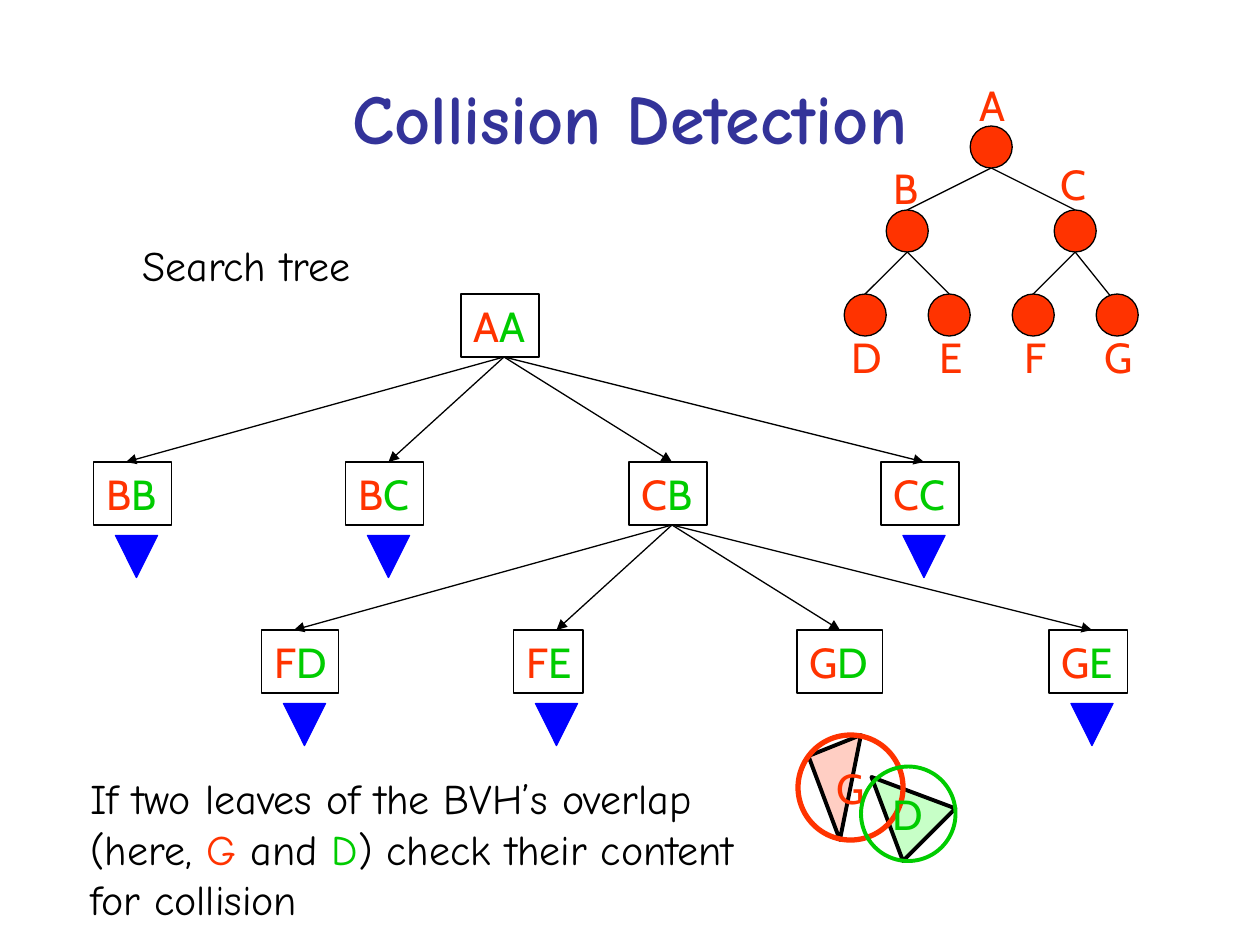
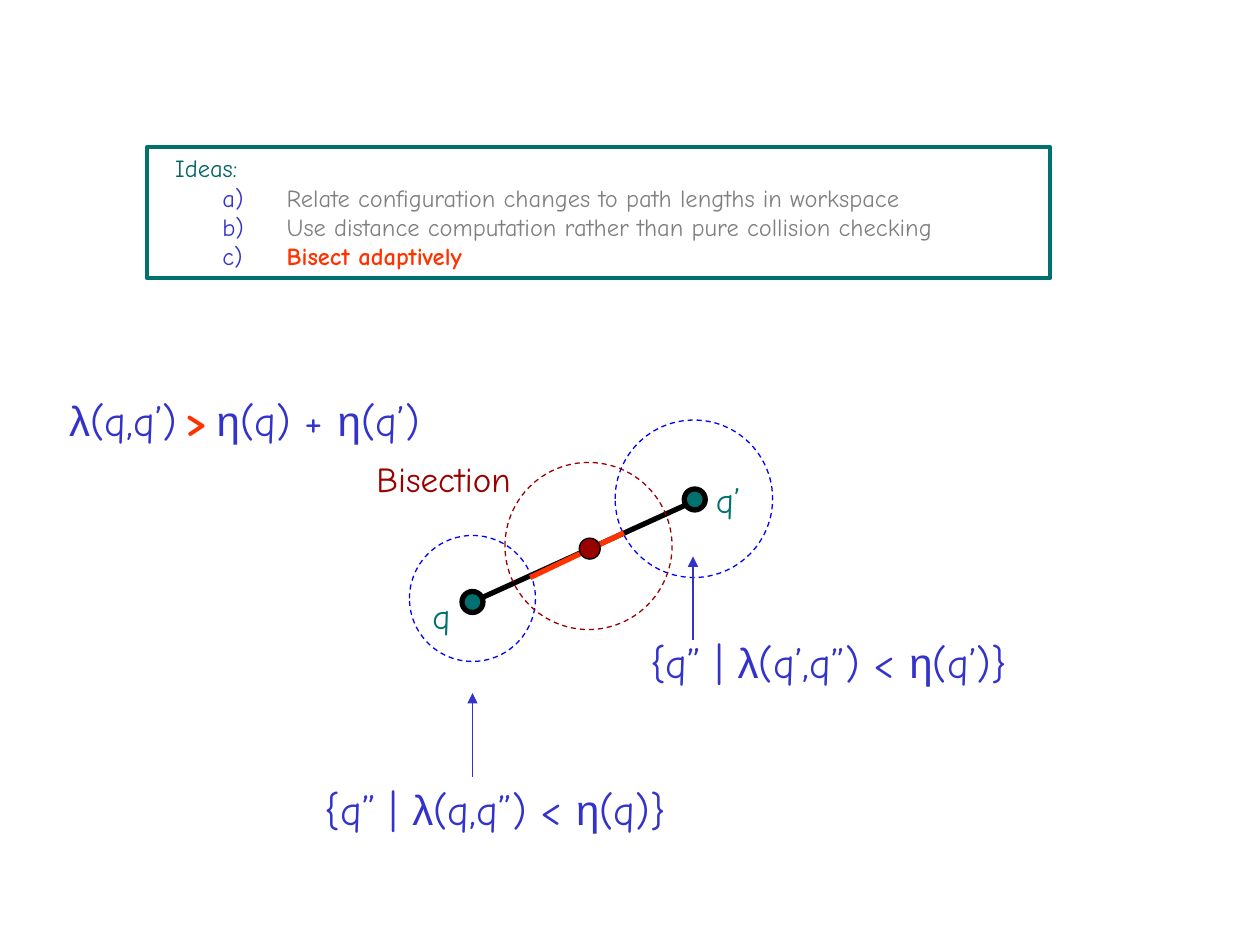
import dataclasses

import lxml.etree
import pptx
import pptx.dml.color
import pptx.enum.dml
import pptx.enum.shapes
import pptx.enum.text
import pptx.oxml.ns
import pptx.util

Pt = pptx.util.Pt
qn = pptx.oxml.ns.qn


@dataclasses.dataclass(frozen=True)
class Theme:
    """Colours, fonts and type sizes of the deck."""
    black: str = "000000"
    grey: str = "808080"
    title: str = "333399"
    red: str = "FF3300"
    green: str = "00CC00"
    pale_red: str = "FFCEC3"
    pale_green: str = "C7FFC7"
    blue: str = "0000FF"
    formula: str = "3333CC"
    teal: str = "00716E"
    dark_teal: str = "006462"
    maroon: str = "990000"
    hand: str = "Comic Neue"
    node: str = "Cabin"
    greek: str = "Arial"
    title_size: int = 40
    body_size: int = 24
    label_size: int = 20
    idea_size: int = 14


THEME = Theme()


@dataclasses.dataclass(frozen=True)
class Span:
    """A piece of text in one format."""
    text: str
    colour: str = THEME.black
    font: str = THEME.hand
    size: int = THEME.body_size
    bold: bool = False


LETTER_WIDTHS = {"A": 15.1, "B": 15.1, "C": 15.1, "D": 17.3, "E": 13, "F": 12.2, "G": 17.3}
PADDING = 14.4
BOX_HEIGHT = 36
LEVEL_DROP = 96
CHILD_OFFSETS = (-216, -66, 96, 240)


def rgb(colour):
    """Return a colour object for a hex string."""
    return pptx.dml.color.RGBColor.from_string(colour)


def format_font(font, span):
    """Apply the format of a span to a font."""
    font.name, font.size, font.bold = span.font, Pt(span.size), span.bold
    font.color.rgb = rgb(span.colour)


def write(para, spans):
    """Fill a paragraph with formatted spans, where None breaks the line."""
    for span in spans:
        if span is None:
            para.add_line_break()
            continue
        run = para.add_run()
        run.text = span.text
        format_font(run.font, span)


def fill_frame(shape, paragraphs, wrap=False, centred=False):
    """Write paragraphs of spans into the text frame of a shape."""
    frame = shape.text_frame
    frame.word_wrap = wrap
    anchors, aligns = pptx.enum.text.MSO_ANCHOR, pptx.enum.text.PP_ALIGN
    frame.vertical_anchor = anchors.MIDDLE if centred else anchors.TOP
    for index, spans in enumerate(paragraphs):
        para = frame.add_paragraph() if index else frame.paragraphs[0]
        para.alignment = aligns.CENTER if centred else aligns.LEFT
        write(para, spans)
    return frame


def add_text(page, left, top, width, height, *paragraphs):
    """Add a text box that does not wrap and grows with its text."""
    box = page.shapes.add_textbox(Pt(left), Pt(top), Pt(width), Pt(height))
    frame = fill_frame(box, paragraphs)
    frame.auto_size = pptx.enum.text.MSO_AUTO_SIZE.SHAPE_TO_FIT_TEXT


def paint(shape, fill, line, weight=0.75, dashed=False):
    """Set fill and outline of a shape and drop its shadow."""
    shape.shadow.inherit = False
    if fill:
        shape.fill.solid()
        shape.fill.fore_color.rgb = rgb(fill)
    else:
        shape.fill.background()
    shape.line.color.rgb = rgb(line)
    shape.line.width = Pt(weight)
    if dashed:
        shape.line.dash_style = pptx.enum.dml.MSO_LINE.DASH


def add_rectangle(page, left, top, width, height, line, weight=0.75):
    """Add an outlined rectangle."""
    kind = pptx.enum.shapes.MSO_SHAPE.RECTANGLE
    shape = page.shapes.add_shape(kind, Pt(left), Pt(top), Pt(width), Pt(height))
    paint(shape, None, line, weight)
    return shape


def add_circle(page, x, y, diameter, fill, line, weight=0.75, dashed=False):
    """Add a circle around a centre point."""
    kind = pptx.enum.shapes.MSO_SHAPE.OVAL
    left, top = x - diameter / 2, y - diameter / 2
    shape = page.shapes.add_shape(kind, Pt(left), Pt(top), Pt(diameter), Pt(diameter))
    paint(shape, fill, line, weight, dashed)
    return shape


def add_polygon(page, points, fill, line, weight=0.75):
    """Add a closed outline through the points."""
    corners = [(Pt(x), Pt(y)) for x, y in points]
    builder = page.shapes.build_freeform(*corners[0])
    builder.add_line_segments(corners[1:], close=True)
    paint(builder.convert_to_shape(), fill, line, weight)


def add_line(page, start, end, colour=THEME.black, weight=0.75, arrow=False):
    """Add a straight line, with an arrowhead at its end if asked."""
    kind = pptx.enum.shapes.MSO_CONNECTOR.STRAIGHT
    line = page.shapes.add_connector(kind, *(Pt(value) for value in (*start, *end)))
    line.line.color.rgb = rgb(colour)
    line.line.width = Pt(weight)
    properties = line._element.spPr
    if arrow:
        outline = properties.find(qn("a:ln"))
        lxml.etree.SubElement(outline, qn("a:tailEnd"), type="triangle")
    lxml.etree.SubElement(properties, qn("a:effectLst"))


def add_title(page, text):
    """Place and format the title placeholder."""
    title = page.shapes.title
    title.left, title.top, title.width, title.height = Pt(36), Pt(21.6), Pt(648), Pt(90)
    span = Span(text, THEME.title, size=THEME.title_size, bold=True)
    fill_frame(title, [[span]], wrap=True, centred=True)


def letter(text, colour=THEME.red):
    """Return a node letter as a span."""
    return Span(text, colour, THEME.node)


def add_pair_box(page, x, top, pair, inset=24.5):
    """Add the search tree box of a pair, hung left of its anchor x."""
    width = PADDING + sum(LETTER_WIDTHS[name] for name in pair)
    box = add_rectangle(page, x - inset, top, width, BOX_HEIGHT, THEME.black)
    fill_frame(box, [[letter(pair[0]), letter(pair[1], THEME.green)]])


def add_branches(page, x, bottom, pairs, open_pair):
    """Add four child pairs and mark all but the open one as pruned."""
    top = bottom + LEVEL_DROP - BOX_HEIGHT
    for index, (pair, offset) in enumerate(zip(pairs, CHILD_OFFSETS)):
        child = x + offset
        middle = child if index else child + 6
        add_pair_box(page, middle, top, pair)
        add_line(page, (x, bottom), (child, top), arrow=True)
        if pair != open_pair:
            base = top + BOX_HEIGHT + 6
            points = [(middle - 12, base), (middle, base + 24), (middle + 12, base)]
            add_polygon(page, points, THEME.blue, THEME.blue)


def add_hierarchy(page):
    """Add the bounding volume tree with its labels."""
    nodes = {
        "A": (566.4, 84, 1, 42), "B": (518.4, 132, 0, 89.5), "C": (614.4, 132, -0.5, 87),
        "D": (494.4, 180, 1, 186), "E": (542.4, 180, 1, 186),
        "F": (590.4, 180, 1.5, 186), "G": (638.4, 180, 1.5, 186),
    }
    radius = 12
    for parent, child in ("AB", "AC", "BD", "BE", "CF", "CG"):
        x, y = nodes[parent][:2]
        child_x, child_y = nodes[child][:2]
        reach = 6 if child == "G" else radius
        add_line(page, (x, y + radius), (child_x, child_y - reach))
    for name, (x, y, shift, label_top) in nodes.items():
        add_circle(page, x, y, 2 * radius, THEME.red, THEME.black)
        width = PADDING + LETTER_WIDTHS[name]
        add_text(page, x + shift - width / 2, label_top, width, BOX_HEIGHT, [letter(name)])


def add_leaf(page, x, y, diameter, name, colour, weight):
    """Add a leaf volume as a lettered ring."""
    ring = add_circle(page, x, y, diameter, None, colour, weight)
    fill_frame(ring, [[letter(name, colour)]], centred=True)


def build_search_tree(deck):
    """Build the slide on searching two hierarchies."""
    page = deck.slides.add_slide(deck.slide_layouts[5])
    add_title(page, "Collision Detection")
    add_polygon(page, [(462, 432), (492, 420), (480, 480)], THEME.pale_red, THEME.black, 2.25)
    add_polygon(page, [(498, 444), (516, 492), (546, 462)], THEME.pale_green, THEME.black, 2.25)
    add_text(
        page, 44.6, 438, 383, 94,
        [Span("If two leaves of the BVH’s overlap"), None, Span("(here, "),
         Span("G", THEME.red), Span(" and "), Span("D", THEME.green),
         Span(") check their content")],
        [Span("for collision")])
    add_text(page, 74.2, 133.2, 134.6, 36, [Span("Search tree")])
    add_pair_box(page, 288, 168, "AA")
    add_branches(page, 288, 204, ("BB", "BC", "CB", "CC"), "CB")
    add_branches(page, 384, 300, ("FD", "FE", "GD", "GE"), "GD")
    add_hierarchy(page)
    add_leaf(page, 486, 450, 60, "G", THEME.red, 3)
    add_leaf(page, 519, 465, 54, "D", THEME.green, 2.25)


def formula(text):
    """Split a formula into spans, with Greek letters in their own font."""
    pieces = text.replace("λ", "|λ|").replace("η", "|η|").split("|")
    return [Span(piece, THEME.formula, THEME.greek if piece in "λη" else THEME.hand)
            for piece in pieces if piece]


def set_definition(point):
    """Return the spans that define the free region around a point."""
    bar = Span("{q” | ", THEME.formula)
    return [bar, *formula(f"λ({point},q”) < η({point})}}")]


def indent(para, margin, first):
    """Set the left margin and first line indent of a paragraph."""
    properties = para._p.get_or_add_pPr()
    properties.set("marL", str(Pt(margin)))
    properties.set("indent", str(Pt(first)))
    return properties


def add_ideas(page, ideas):
    """Add the framed list of lettered ideas, whose lead keeps the letters regular."""
    box = add_rectangle(page, 84, 84, 516, 75, THEME.teal, 2.25)
    heading = Span("Ideas:", THEME.dark_teal, size=THEME.idea_size)
    lead = Span(" ", THEME.grey, size=THEME.idea_size)
    frame = fill_frame(box, [[heading], *([lead, idea] for idea in ideas)], wrap=True)
    first, *items = frame.paragraphs
    indent(first, 9, 0)
    for para in items:
        para.level = 1
        properties = indent(para, 68, -32)
        colour = lxml.etree.SubElement(properties, qn("a:buClr"))
        lxml.etree.SubElement(colour, qn("a:srgbClr"), val=THEME.formula)
        lxml.etree.SubElement(properties, qn("a:buAutoNum"), type="alphaLcParenR")


def build_bisection(deck):
    """Build the slide on adaptive bisection."""
    page = deck.slides.add_slide(deck.slide_layouts[6])
    add_line(page, (270, 344), (402, 284), weight=3)
    for x, y in ((397, 285.4), (270, 344)):
        add_circle(page, x, y, 12, THEME.teal, THEME.black, 3)
    add_circle(page, 270, 342, 72, None, THEME.blue, dashed=True)
    add_circle(page, 396.5, 285, 90, None, THEME.blue, dashed=True)
    add_circle(page, 336.3, 312, 95.5, None, THEME.maroon, dashed=True)
    for text, colour, left, top, width in (
            ("q", THEME.teal, 240, 336, 25),
            ("q’", THEME.teal, 402, 270, 30),
            ("Bisection", THEME.maroon, 208, 258, 92)):
        label = Span(text, colour, size=THEME.label_size)
        add_text(page, left, top, width, 31.7, [label])
    add_text(page, 178.5, 444, 212.5, 36, set_definition("q"))
    add_text(page, 364.5, 360, 221, 36, set_definition("q’"))
    for x, y in ((270, 444), (396, 366)):
        add_line(page, (x, y), (x, y - 48), THEME.formula, arrow=True)
    gap = Span(" ", THEME.formula, size=THEME.idea_size)
    greater = Span(">", THEME.red, bold=True)
    add_text(page, 32.4, 222, 218, 36,
             [*formula("λ(q,q’)"), gap, greater, gap, *formula("η(q) + η(q’)")])
    size = THEME.idea_size
    add_ideas(page, [
        Span("Relate configuration changes to path lengths in workspace", THEME.grey, size=size),
        Span("Use distance computation rather than pure collision checking", THEME.grey, size=size),
        Span("Bisect adaptively", THEME.red, size=size, bold=True)])
    add_line(page, (303, 330), (356.5, 304.5), THEME.red, 3)
    add_circle(page, 337, 313.5, 12, THEME.maroon, THEME.black)


def main():
    """Build and save the deck."""
    deck = pptx.Presentation()
    deck.slide_width, deck.slide_height = Pt(720), Pt(540)
    build_search_tree(deck)
    build_bisection(deck)
    deck.save("out.pptx")


if __name__ == "__main__":
    main()
